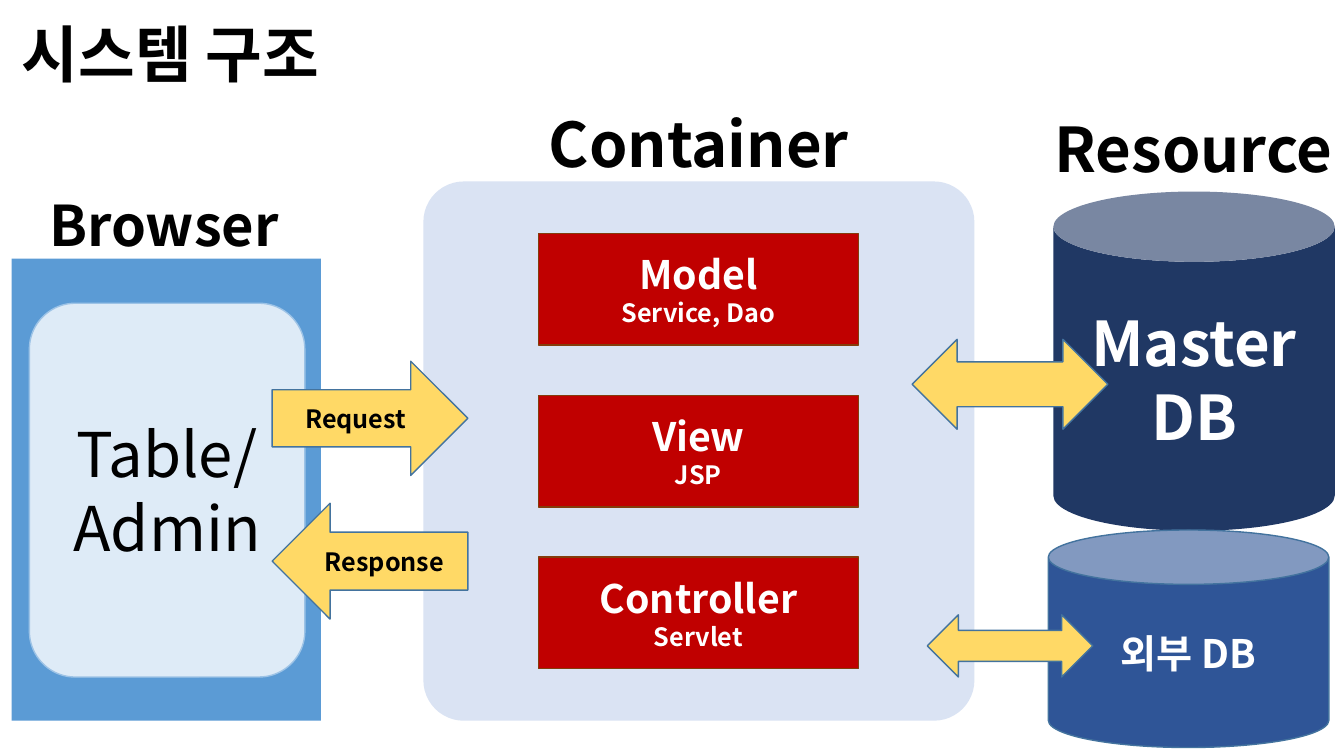
import pptx
import pptx.util
import pptx.dml.color
import pptx.enum.shapes
import pptx.enum.text
import pptx.oxml.ns
from dataclasses import dataclass
from lxml import etree


@dataclass(frozen=True)
class Theme:
    """Font, colours and type sizes of the slide."""
    font: str = "Noto Sans CJK KR"
    black: str = "000000"
    white: str = "FFFFFF"
    browser: str = "5B9BD5"
    screen: str = "DEEBF7"
    screen_line: str = "9DC3E6"
    container: str = "DAE3F3"
    module: str = "C00000"
    module_line: str = "843C0B"
    arrow: str = "FFD966"
    blue_line: str = "43739E"
    main_db: str = "203864"
    outer_db: str = "2F5597"
    heading: int = 44
    label: int = 40
    name: int = 28
    detail: int = 18


theme = Theme()
kinds = pptx.enum.shapes.MSO_SHAPE
anchors = pptx.enum.text.MSO_ANCHOR
aligns = pptx.enum.text.PP_ALIGN
rgb = pptx.dml.color.RGBColor.from_string

deck = pptx.Presentation()
deck.slide_width = pptx.util.Inches(13.333)
deck.slide_height = pptx.util.Inches(7.5)
page = deck.slides.add_slide(deck.slide_layouts[6])

# The slide is a grid of 160 columns by 90 rows; places are (column, row, columns, rows).
column = deck.slide_width / 160
row = deck.slide_height / 90


def write(box, lines, sizes, color=theme.black, bold=True,
          align=aligns.CENTER, anchor=anchors.MIDDLE):
    """Fill a box with one paragraph per line, each in its own size."""
    frame = box.text_frame
    frame.word_wrap = True
    frame.vertical_anchor = anchor
    frame.margin_left = frame.margin_right = 0
    for number, (line, size) in enumerate(zip(lines, sizes)):
        para = frame.add_paragraph() if number else frame.paragraphs[0]
        para.alignment = align
        span = para.add_run()
        span.text = line
        span.font.size = pptx.util.Pt(size)
        span.font.bold = bold
        span.font.color.rgb = rgb(color)
        span.font.name = theme.font
        east_asian = etree.SubElement(span.font._element, pptx.oxml.ns.qn("a:ea"))
        east_asian.set("typeface", theme.font)


def draw(kind, place, fill, line=None):
    """Add a flat preset shape at a grid place."""
    left, top, width, height = place
    shape = page.shapes.add_shape(kind, round(left * column), round(top * row),
                                  round(width * column), round(height * row))
    shape.shadow.inherit = False
    shape.fill.solid()
    shape.fill.fore_color.rgb = rgb(fill)
    if line:
        shape.line.color.rgb = rgb(line)
        shape.line.width = pptx.util.Pt(1)
    else:
        shape.line.fill.background()
    return shape


# Browser, main database and container
draw(kinds.RECTANGLE, (1.4, 30.8, 36.8, 55), theme.browser)
screen = draw(kinds.ROUNDED_RECTANGLE, (3.5, 36.1, 32.8, 44.5), theme.screen, theme.screen_line)
write(screen, ["Table/", "Admin"], [theme.heading] * 2, bold=False)

main_db = draw(kinds.CAN, (125.4, 22.8, 33.5, 40.4), theme.main_db)
write(main_db, ["Master", "DB"], [theme.heading] * 2, color=theme.white)

container = draw(kinds.ROUNDED_RECTANGLE, (50.4, 21.6, 65.6, 64.2), theme.container)
container.adjustments[0] = 0.075

# Modules, evenly stacked in the container
modules = [("Model", "Service, Dao"), ("View", "JSP"), ("Controller", "Servlet")]
for number, module in enumerate(modules):
    box = draw(kinds.RECTANGLE, (64.1, 27.8 + 19.26 * number, 38.1, 13.3),
               theme.module, theme.module_line)
    write(box, module, [theme.name, theme.detail], color=theme.white)

outer_db = draw(kinds.CAN, (124.8, 63.1, 33.4, 25.9), theme.outer_db, theme.blue_line)
write(outer_db, ["외부 DB"], [theme.name], color=theme.white)

# Arrows between the three parts
arrows = [
    (kinds.LEFT_RIGHT_ARROW, (108.6, 40.4, 23.3, 10.7), None),
    (kinds.RIGHT_ARROW, (32.4, 43, 23.3, 13.6), "Request"),
    (kinds.LEFT_ARROW, (32.4, 59.9, 23.3, 13.8), "Response"),
    (kinds.LEFT_RIGHT_ARROW, (110.4, 73.2, 19.7, 7.4), None),
]
for kind, place, caption in arrows:
    arrow = draw(kind, place, theme.arrow, theme.blue_line)
    if caption:
        write(arrow, [caption], [theme.detail])

# Title and headings
headings = [
    ("시스템 구조", (2.6, 1.3, 60, 10.1), theme.heading, aligns.LEFT),
    ("Browser", (3, 22.1, 33.1, 9.2), theme.label, aligns.CENTER),
    ("Container", (64.1, 12, 38.2, 10.1), theme.heading, aligns.CENTER),
    ("Resource", (124.2, 12.6, 35.8, 10.1), theme.heading, aligns.CENTER),
]
for caption, (left, top, width, height), size, align in headings:
    box = page.shapes.add_textbox(round(left * column), round(top * row),
                                  round(width * column), round(height * row))
    write(box, [caption], [size], align=align, anchor=anchors.TOP)

deck.save("out.pptx")
